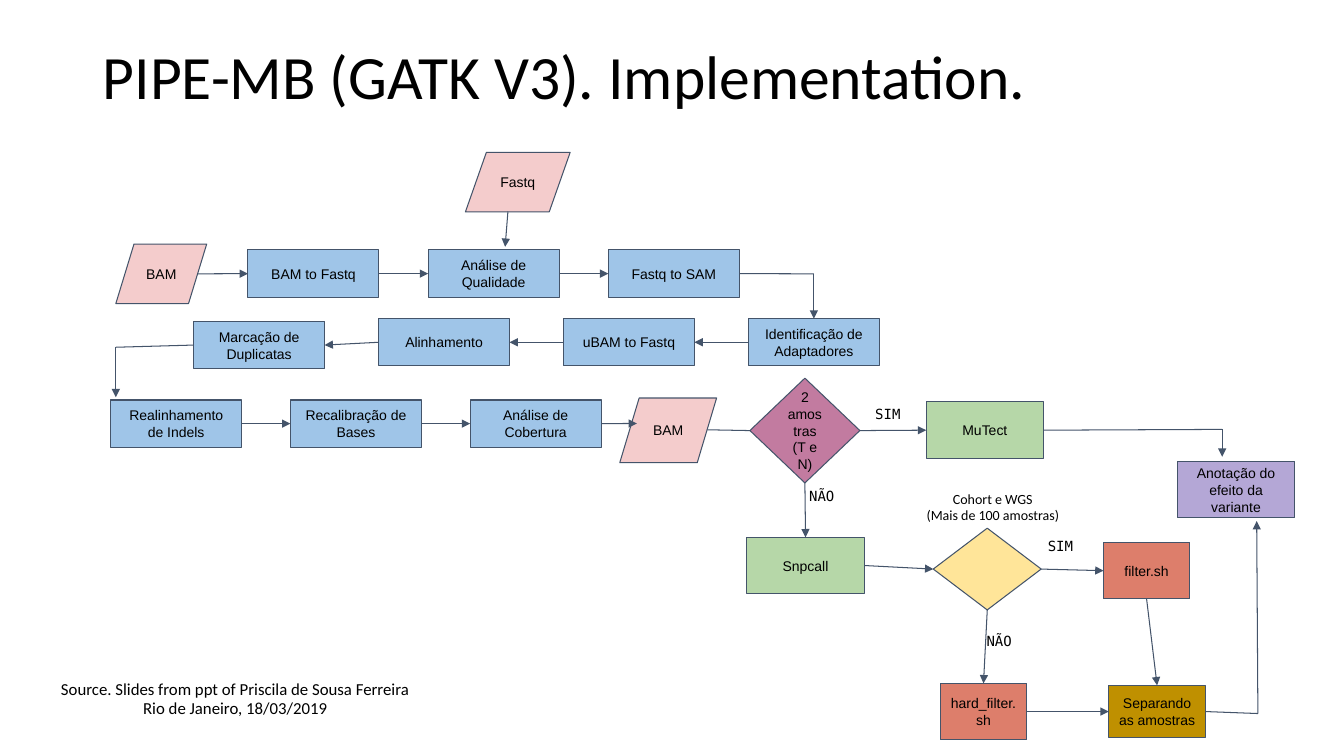
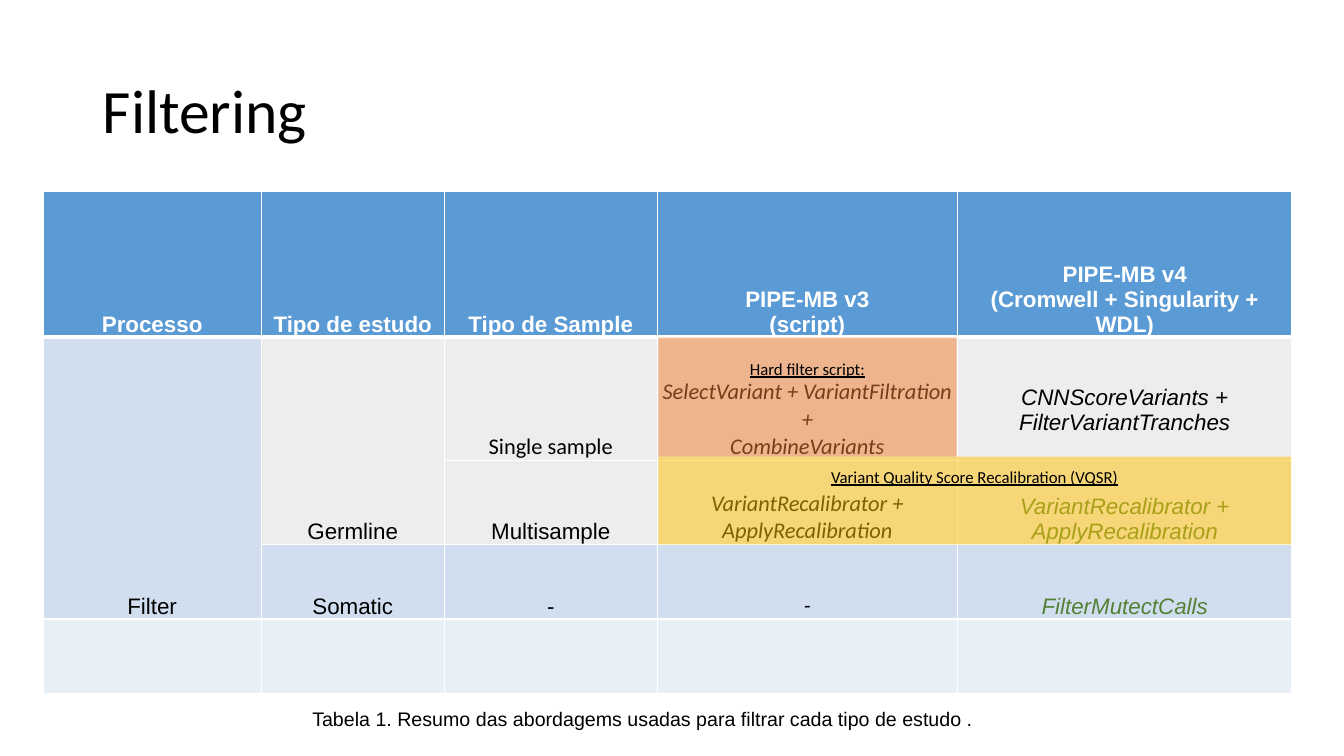
"""Build two slides on the PIPE-MB pipeline: its flowchart and its filtering table."""
from dataclasses import dataclass, field
from typing import Any, NamedTuple, Union

from lxml.etree import SubElement
from pptx import Presentation
from pptx.dml.color import RGBColor
from pptx.enum.shapes import MSO_CONNECTOR as Line, MSO_SHAPE as Shape
from pptx.enum.text import MSO_ANCHOR as Anchor, PP_ALIGN as Align
from pptx.oxml.ns import qn
from pptx.util import Cm, Pt


@dataclass(frozen=True)
class Theme:
    ink: str = "000000"
    white: str = "FFFFFF"
    outline: str = "44546A"
    data: str = "F4CCCC"
    step: str = "9FC5E8"
    caller: str = "B6D7A8"
    sample_test: str = "C27BA0"
    cohort_test: str = "FFE599"
    annotation: str = "B4A7D6"
    script: str = "DD7E6B"
    split: str = "BF9000"
    header: str = "5B9BD5"
    band: str = "D0DEEF"
    light_band: str = "E9EFF7"
    grey: str = "EDEDED"
    green: str = "548135"
    orange: str = "ED7D31"
    gold: str = "FFC000"
    body_font: str = "Calibri"
    chart_font: str = "Arial"
    mono_font: str = "DejaVu Sans Mono"
    title_size: float = 44
    table_size: float = 16
    caption_size: float = 14
    note_size: float = 12
    node_size: float = 10
    line_width: float = 0.75


THEME = Theme()
TOP, LEFT, BOTTOM, RIGHT = range(4)


def text_format(size: float, font: str, **extra: Any) -> dict[str, Any]:
    return {"size": Pt(size), "name": font, **extra}


TITLE = text_format(THEME.title_size, THEME.body_font)
NOTE = text_format(THEME.note_size, THEME.body_font)
HEADING = text_format(THEME.note_size, THEME.body_font, underline=True)
CAPTION = text_format(THEME.caption_size, THEME.chart_font)
NODE = text_format(THEME.node_size, THEME.chart_font)
ANSWER = text_format(THEME.node_size, THEME.mono_font)
REMARK = text_format(THEME.node_size, THEME.body_font)
HEAD_CELL = text_format(THEME.table_size, THEME.chart_font, bold=True)
CELL = text_format(THEME.table_size, THEME.chart_font, bold=False)
TOOL = CELL | {"italic": True}
PLAIN_CALIBRI = CELL | {"name": THEME.body_font}
TOOL_CALIBRI = TOOL | {"name": THEME.body_font}


class Area(NamedTuple):
    left: float
    top: float
    width: float
    height: float


class Node(NamedTuple):
    name: str
    label: str
    shape: Shape
    color: str
    area: Area


class StepRow(NamedTuple):
    left: float
    top: float
    pitch: float
    labels: tuple[str, ...]


class Side(NamedTuple):
    node: str
    site: int


class Spot(NamedTuple):
    x: float
    y: float


class Link(NamedTuple):
    start: Union[Side, Spot]
    end: Union[Side, Spot]
    arrow: bool = True


class Label(NamedTuple):
    text: str
    area: Area


@dataclass(frozen=True)
class Cell:
    text: str
    color: str
    format: dict[str, Any] = field(default_factory=lambda: CELL)
    ink: str = THEME.ink
    rows: int = 1
    bottom: float = 0


STEP_ROWS = (
    StepRow(6.25, 6.3, 4.54, ("BAM to Fastq", "Análise de Qualidade", "Fastq to SAM")),
    StepRow(4.88, 8.1, 0, ("Marcação de Duplicatas",)),
    StepRow(9.54, 8.03, 4.66, ("Alinhamento", "uBAM to Fastq", "Identificação de Adaptadores")),
    StepRow(2.79, 10.08, 4.53,
            ("Realinhamento de Indels", "Recalibração de Bases", "Análise de Cobertura")),
)
NODES = (
    Node("Fastq", "Fastq", Shape.FLOWCHART_DATA, THEME.data, Area(11.73, 3.84, 2.64, 1.5)),
    Node("BAM in", "BAM", Shape.FLOWCHART_DATA, THEME.data, Area(2.92, 6.15, 2.29, 1.5)),
    Node("BAM out", "BAM", Shape.FLOWCHART_DATA, THEME.data, Area(15.62, 10.03, 2.44, 1.63)),
    Node("Samples", "2 amostras (T e N)", Shape.FLOWCHART_DECISION, THEME.sample_test,
         Area(18.9, 9.53, 2.77, 2.64)),
    Node("Cohort", "", Shape.FLOWCHART_DECISION, THEME.cohort_test,
         Area(23.52, 13.31, 2.72, 2.06)),
    Node("MuTect", "MuTect", Shape.FLOWCHART_PROCESS, THEME.caller,
         Area(23.34, 10.13, 2.96, 1.42)),
    Node("Snpcall", "Snpcall", Shape.FLOWCHART_PROCESS, THEME.caller,
         Area(18.82, 13.54, 2.96, 1.42)),
    Node("Annotation", "Anotação do efeito da variante", Shape.FLOWCHART_PROCESS,
         THEME.annotation, Area(29.67, 11.63, 2.96, 1.42)),
    Node("Filter", "filter.sh", Shape.FLOWCHART_PROCESS, THEME.script,
         Area(27.81, 13.67, 2.17, 1.42)),
    Node("Hard filter", "hard_filter.sh", Shape.FLOWCHART_PROCESS, THEME.script,
         Area(23.7, 17.22, 2.17, 1.42)),
    Node("Split", "Separando as amostras", Shape.FLOWCHART_PROCESS, THEME.split,
         Area(27.94, 17.27, 2.44, 1.32)),
)
LINKS = (
    Link(Spot(4.98, 6.9), Side("BAM to Fastq", LEFT)),
    Link(Side("BAM to Fastq", RIGHT), Side("Análise de Qualidade", LEFT)),
    Link(Spot(12.8, 5.33), Spot(12.73, 6.22)),
    Link(Side("Análise de Qualidade", RIGHT), Side("Fastq to SAM", LEFT)),
    Link(Side("Fastq to SAM", RIGHT), Spot(20.51, 6.9), False),
    Link(Spot(20.51, 6.9), Side("Identificação de Adaptadores", TOP)),
    Link(Side("Identificação de Adaptadores", LEFT), Side("uBAM to Fastq", RIGHT)),
    Link(Side("uBAM to Fastq", LEFT), Side("Alinhamento", RIGHT)),
    Link(Side("Alinhamento", LEFT), Side("Marcação de Duplicatas", RIGHT)),
    Link(Side("Marcação de Duplicatas", LEFT), Spot(2.92, 8.75), False),
    Link(Spot(2.92, 8.75), Spot(2.92, 10.01)),
    Link(Side("Realinhamento de Indels", RIGHT), Side("Recalibração de Bases", LEFT)),
    Link(Side("Recalibração de Bases", RIGHT), Side("Análise de Cobertura", LEFT)),
    Link(Side("Análise de Cobertura", RIGHT), Spot(16.05, 10.67)),
    Link(Spot(17.83, 10.83), Side("Samples", LEFT), False),
    Link(Side("Samples", RIGHT), Side("MuTect", LEFT)),
    Link(Side("Samples", BOTTOM), Side("Snpcall", TOP)),
    Link(Side("Snpcall", RIGHT), Side("Cohort", LEFT)),
    Link(Side("Cohort", RIGHT), Side("Filter", LEFT)),
    Link(Side("Cohort", BOTTOM), Side("Hard filter", TOP)),
    Link(Side("Hard filter", RIGHT), Side("Split", LEFT)),
    Link(Side("Filter", BOTTOM), Side("Split", TOP)),
    Link(Side("Split", RIGHT), Spot(31.7, 17.98), False),
    Link(Spot(31.7, 17.98), Spot(31.67, 13.13)),
    Link(Side("MuTect", RIGHT), Spot(30.8, 10.82), False),
    Link(Spot(30.8, 10.82), Spot(30.8, 11.51)),
)
ANSWERS = (
    Label("SIM", Area(21.69, 10.01, 1.37, 0.48)),
    Label("NÃO", Area(19.91, 12.07, 1.6, 0.51)),
    Label("SIM", Area(26.04, 13.34, 1.37, 0.48)),
    Label("NÃO", Area(24.38, 15.72, 1.6, 0.51)),
)
HEADERS = ("Processo", "Tipo de estudo", "Tipo de Sample", "PIPE-MB v3\n(script)",
           "PIPE-MB v4\n(Cromwell + Singularity + WDL)")
COLUMN_WIDTHS = (5.49, 4.62, 5.36, 7.57, 8.43)
ROW_HEIGHTS = (3.66, 3.12, 2.11, 1.88, 1.88)
TABLE_ROWS = (
    tuple(Cell(text, THEME.header, HEAD_CELL, THEME.white) for text in HEADERS),
    (Cell("Filter", THEME.band, rows=3), Cell("Germline", THEME.grey, rows=2),
     Cell("Single sample", THEME.grey, PLAIN_CALIBRI),
     Cell("SelectVariant + VariantFiltration +\nCombineVariants", THEME.grey, TOOL_CALIBRI),
     Cell("CNNScoreVariants + FilterVariantTranches", THEME.grey, TOOL, bottom=0.64)),
    (None, None, Cell("Multisample", THEME.grey),
     Cell("VariantRecalibrator + ApplyRecalibration", THEME.grey, TOOL_CALIBRI),
     Cell("VariantRecalibrator + ApplyRecalibration", THEME.grey, TOOL, THEME.green)),
    (None, Cell("Somatic", THEME.band), Cell("-", THEME.band),
     Cell("-", THEME.band, TOOL_CALIBRI),
     Cell("FilterMutectCalls", THEME.band, TOOL, THEME.green)),
    (Cell("", THEME.light_band),) * len(COLUMN_WIDTHS),
)


def rgb(color: str) -> RGBColor:
    return RGBColor.from_string(color)


def cm(area: Area) -> tuple[Cm, ...]:
    return tuple(Cm(value) for value in area)


def write(frame: Any, text: str, style: dict[str, Any], ink: str = THEME.ink,
          align: Align = Align.CENTER, spacing: float = 1.0) -> None:
    for index, words in enumerate(text.split("\n")):
        para = frame.paragraphs[0] if index == 0 else frame.add_paragraph()
        para.alignment, para.line_spacing = align, spacing
        if words:
            span = para.add_run()
            span.text = words
            span.font.color.rgb = rgb(ink)
            for name, value in style.items():
                setattr(span.font, name, value)


def set_frame(frame: Any, anchor: Anchor, side: float = 0.25, top: float = 0.25) -> None:
    values = {"word_wrap": True, "vertical_anchor": anchor, "margin_left": Cm(side),
              "margin_right": Cm(side), "margin_top": Cm(top), "margin_bottom": Cm(top)}
    for name, value in values.items():
        setattr(frame, name, value)


def add_text(page: Any, text: str, area: Area, style: dict[str, Any], top: float = 0.13,
             anchor: Anchor = Anchor.TOP, **layout: Any) -> None:
    frame = page.shapes.add_textbox(*cm(area)).text_frame
    set_frame(frame, anchor, top=top)
    write(frame, text, style, **layout)


def add_title(page: Any, text: str, height: float) -> None:
    add_text(page, text, Area(2.34, 1.02, 29.21, height), TITLE, anchor=Anchor.MIDDLE,
             align=Align.LEFT, spacing=0.9)


def add_node(page: Any, node: Node) -> Any:
    box = page.shapes.add_shape(node.shape, *cm(node.area))
    box.shadow.inherit = False
    box.fill.solid()
    box.fill.fore_color.rgb = rgb(node.color)
    box.line.color.rgb = rgb(THEME.outline)
    box.line.width = Pt(THEME.line_width)
    set_frame(box.text_frame, Anchor.MIDDLE)
    write(box.text_frame, node.label, NODE)
    return box


def locate(end: Union[Side, Spot], boxes: dict[str, Any]) -> tuple[int, int]:
    if isinstance(end, Spot):
        return Cm(end.x), Cm(end.y)
    box = boxes[end.node]
    across, down = {TOP: (1, 0), LEFT: (0, 1), BOTTOM: (1, 2), RIGHT: (2, 1)}[end.site]
    return box.left + box.width * across // 2, box.top + box.height * down // 2


def add_link(page: Any, link: Link, boxes: dict[str, Any]) -> None:
    line = page.shapes.add_connector(
        Line.STRAIGHT, *locate(link.start, boxes), *locate(link.end, boxes))
    for end, join in ((link.start, line.begin_connect), (link.end, line.end_connect)):
        if isinstance(end, Side):
            join(boxes[end.node], end.site)
    line.line.color.rgb = rgb(THEME.outline)
    line.line.width = Pt(THEME.line_width)
    if link.arrow:
        SubElement(line.get_or_add_ln(), qn("a:tailEnd"), type="triangle")
    SubElement(line.element.spPr, qn("a:effectLst"))


def add_highlight(page: Any, text: str, area: Area, color: str, top: float) -> None:
    box = page.shapes.add_shape(Shape.RECTANGLE, *cm(area))
    box.shadow.inherit = False
    box.line.fill.background()
    box.fill.solid()
    box.fill.fore_color.rgb = rgb(color)
    tint = box.element.spPr.find(qn("a:solidFill")).find(qn("a:srgbClr"))
    SubElement(tint, qn("a:alpha"), val="50000")
    set_frame(box.text_frame, Anchor.TOP, top=top)
    write(box.text_frame, text, HEADING)


def set_borders(cell: Any, row: int) -> None:
    for tag, width in (("lnL", 1), ("lnR", 1), ("lnT", 3 if row == 1 else 1),
                       ("lnB", 3 if row == 0 else 1)):
        edge = SubElement(cell._tc.get_or_add_tcPr(), qn(f"a:{tag}"), w=str(Pt(width)))
        SubElement(SubElement(edge, qn("a:solidFill")), qn("a:srgbClr"), val=THEME.white)


def add_filter_table(page: Any) -> None:
    area = Area(1.09, 4.83, sum(COLUMN_WIDTHS), sum(ROW_HEIGHTS))
    table = page.shapes.add_table(len(ROW_HEIGHTS), len(COLUMN_WIDTHS), *cm(area)).table
    for column, width in zip(table.columns, COLUMN_WIDTHS):
        column.width = Cm(width)
    for row, (cells, height) in enumerate(zip(TABLE_ROWS, ROW_HEIGHTS)):
        table.rows[row].height = Cm(height)
        for column, content in enumerate(cells):
            cell = table.cell(row, column)
            set_borders(cell, row)
            if content is None:
                continue
            if content.rows > 1:
                cell.merge(table.cell(row + content.rows - 1, column))
            cell.fill.solid()
            cell.fill.fore_color.rgb = rgb(content.color)
            cell.vertical_anchor = Anchor.BOTTOM
            cell.margin_left = cell.margin_right = Cm(0.1)
            cell.margin_top, cell.margin_bottom = Cm(0.03), Cm(content.bottom)
            write(cell.text_frame, content.text, content.format, content.ink)


def build_flow_page(page: Any) -> None:
    add_title(page, "PIPE-MB (GATK V3). Implementation.", 1.96)
    add_text(page, "Source. Slides from ppt of Priscila de Sousa Ferreira\n"
             "Rio de Janeiro, 18/03/2019", Area(0.6, 17.04, 10.66, 1.9), NOTE, spacing=0.9)
    steps = [Node(label, label, Shape.FLOWCHART_PROCESS, THEME.step,
                  Area(row.left + index * row.pitch, row.top, 3.3, 1.19))
             for row in STEP_ROWS for index, label in enumerate(row.labels)]
    boxes = {node.name: add_node(page, node) for node in (*steps, *NODES)}
    for link in LINKS:
        add_link(page, link, boxes)
    for answer in ANSWERS:
        add_text(page, answer.text, answer.area, ANSWER, top=0.25)
    add_text(page, "Cohort e WGS\n(Mais de 100 amostras)", Area(22.38, 12.22, 5.28, 1.1), REMARK)


def build_filter_page(page: Any) -> None:
    add_filter_table(page)
    add_highlight(page, "Hard filter script:", Area(16.59, 8.51, 7.52, 3), THEME.orange, 0.53)
    add_highlight(page, "Variant Quality Score Recalibration (VQSR)",
                  Area(16.59, 11.51, 15.95, 2.21), THEME.gold, 0.25)
    add_title(page, "Filtering", 3.68)
    add_text(page, "Tabela 1. Resumo das abordagems usadas para filtrar cada tipo de estudo .",
             Area(7.62, 17.6, 21.36, 0.94), CAPTION, align=Align.JUSTIFY, spacing=1.15)


def main() -> None:
    deck = Presentation()
    deck.slide_width, deck.slide_height = Cm(33.87), Cm(19.05)
    for build in (build_flow_page, build_filter_page):
        build(deck.slides.add_slide(deck.slide_layouts[6]))
    deck.save("out.pptx")


if __name__ == "__main__":
    main()
